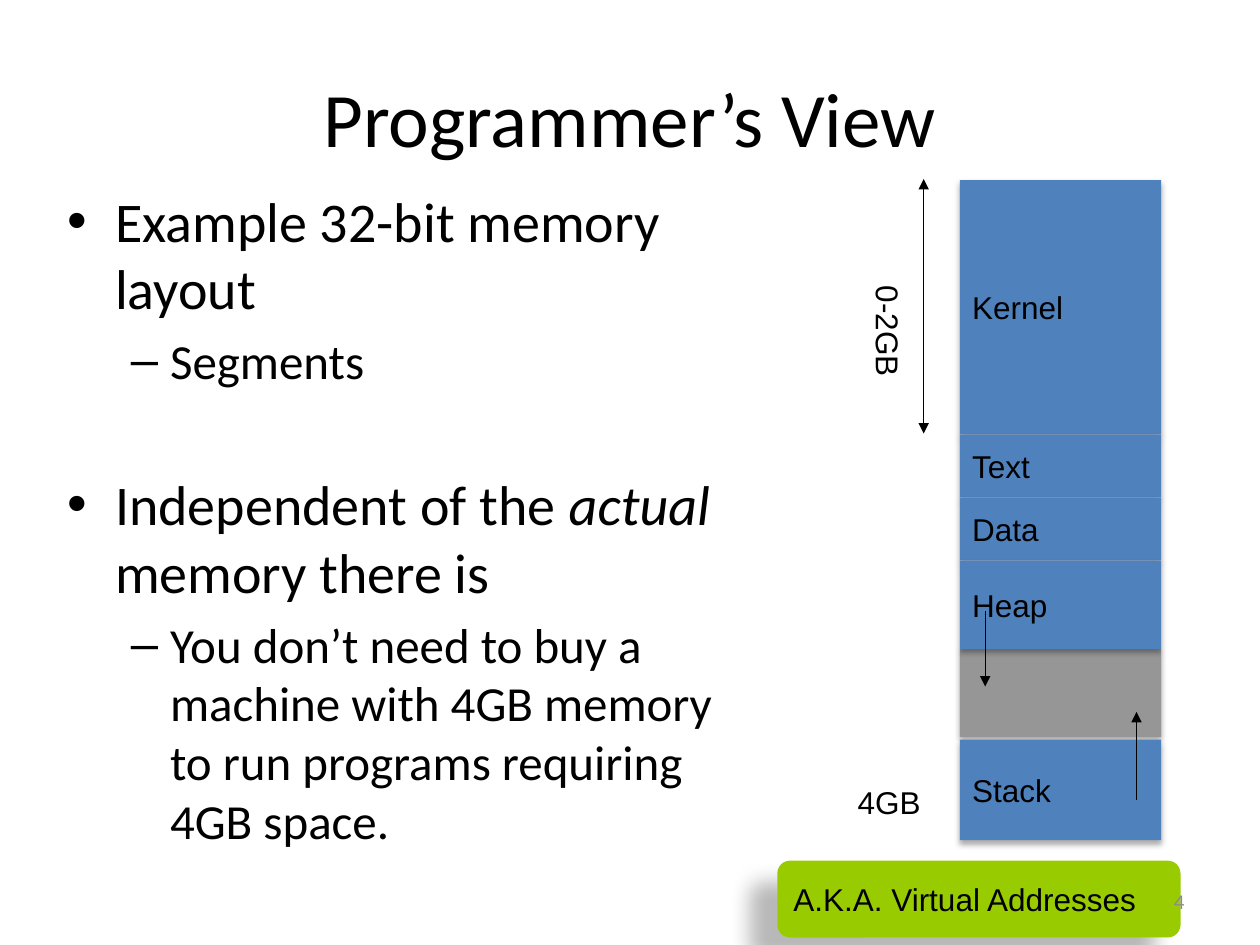
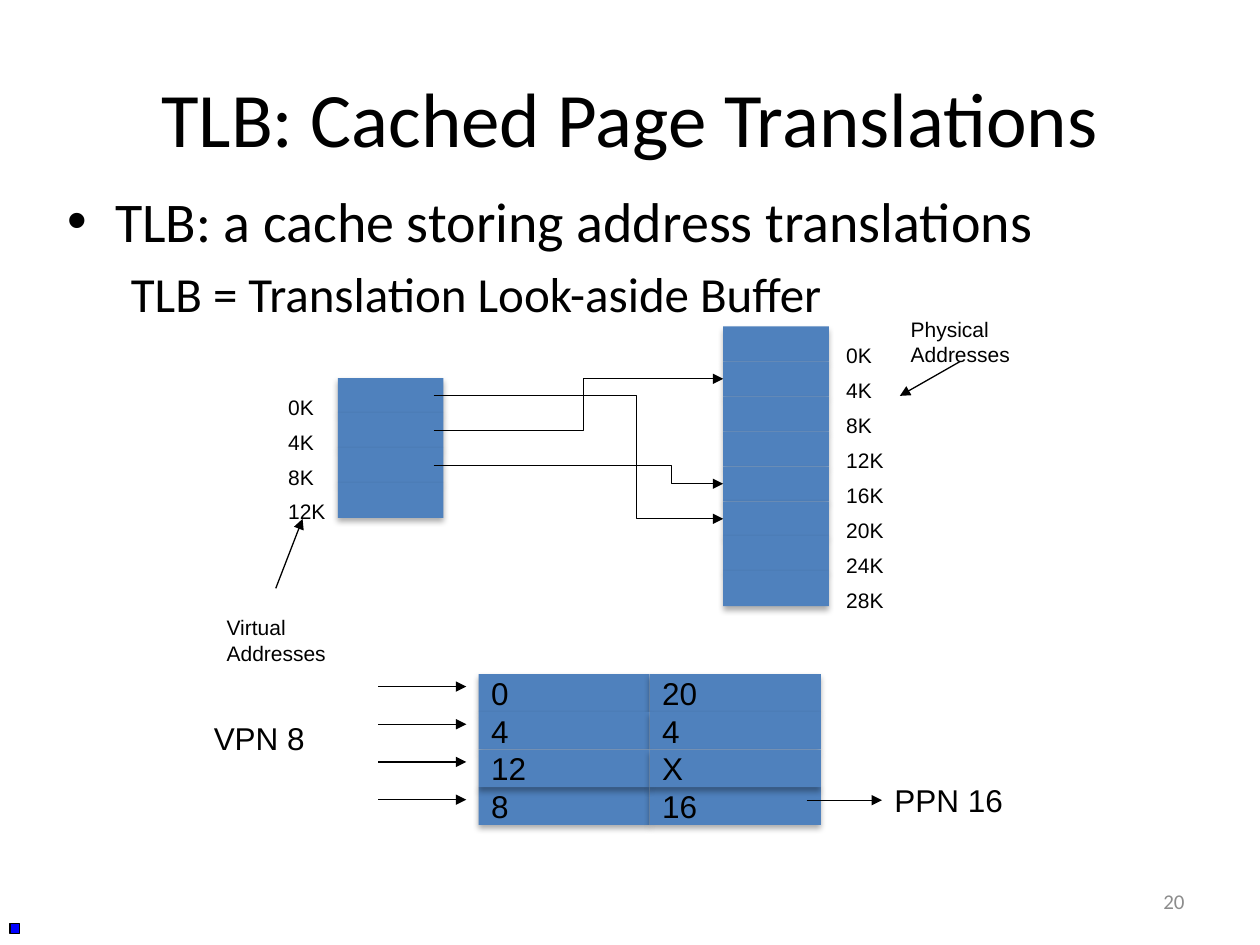
from lxml.etree import SubElement
from pptx import Presentation
from pptx.dml.color import RGBColor
from pptx.enum.shapes import MSO_CONNECTOR as Link, MSO_SHAPE as Geometry
from pptx.enum.text import MSO_ANCHOR as Anchor, MSO_AUTO_SIZE as AutoSize, PP_ALIGN as Align
from pptx.oxml.ns import qn
from pptx.util import Cm, Pt

COLORS = {
    "text": "000000",
    "block": "4F81BD",
    "free": "969696",
    "note": "99CC00",
    "marker": "0000FF",
    "number": "8C8C8C",
}
# blur and distance in points, direction in degrees, opacity in percent
SOFT_SHADOW = (3.5, 2.2, 90, 32)
DEEP_SHADOW = (11.8, 19.7, 141, 28)


def add_box(page, at, text="", size=18, font="Arial", color="text", align=Align.LEFT,
            wrap=False, fill=None, geometry=Geometry.RECTANGLE, shadow=SOFT_SHADOW):
    """Add a filled shape, or a text box when no fill is given; one paragraph per line."""
    place = [Cm(length) for length in at]
    if fill:
        box = page.shapes.add_shape(geometry, *place)
        box.fill.solid()
        box.fill.fore_color.rgb = RGBColor.from_string(COLORS[fill])
        box.line.fill.background()
        box.shadow.inherit = False
        if shadow:
            blur, distance, direction, opacity = shadow
            effects = box.element.spPr.find(qn("a:effectLst"))
            outer = SubElement(effects, qn("a:outerShdw"), blurRad=str(Pt(blur)),
                               dist=str(Pt(distance)), dir=str(direction * 60000),
                               rotWithShape="0")
            tint = SubElement(outer, qn("a:srgbClr"), val=COLORS["text"])
            SubElement(tint, qn("a:alpha"), val=str(opacity * 1000))
    else:
        box = page.shapes.add_textbox(*place)
    frame = box.text_frame
    frame.word_wrap = wrap
    frame.vertical_anchor = Anchor.MIDDLE if fill or wrap else Anchor.TOP
    if not fill and not wrap:
        frame.auto_size = AutoSize.SHAPE_TO_FIT_TEXT
    for index, line in enumerate(text.split("\n") if text else []):
        para = frame.add_paragraph() if index else frame.paragraphs[0]
        para.alignment = align
        span = para.add_run()
        span.text = line
        span.font.size = Pt(size)
        span.font.name = font
        span.font.color.rgb = RGBColor.from_string(COLORS[color])
    return box


def add_arrow(page, *points, ends=("tailEnd",)):
    """Draw a straight connector through two points, or a bent outline through more."""
    points = [(Cm(x), Cm(y)) for x, y in points]
    if len(points) == 2:
        arrow = page.shapes.add_connector(Link.STRAIGHT, *points[0], *points[1])
    else:
        builder = page.shapes.build_freeform(*points[0])
        builder.add_line_segments(points[1:], close=False)
        arrow = builder.convert_to_shape()
        arrow.fill.background()
    arrow.line.color.rgb = RGBColor.from_string(COLORS["text"])
    arrow.line.width = Pt(0.75)
    properties = arrow.element.spPr
    for end in ends:
        SubElement(properties.find(qn("a:ln")), qn(f"a:{end}"), type="triangle")
    SubElement(properties, qn("a:effectLst"))
    return arrow


deck = Presentation()
deck.slide_width, deck.slide_height = Cm(25.4), Cm(19.05)

# Titles and bullet text. Paragraph: level, bullet, space before, runs (text, italic)
LEVELS = [(32, 0.95, -0.95), (28, 2.06, -0.79)]  # size, left margin, first line indent
OUTLINES = [
    ("Programmer’s View", (13.72, 13.92), [
        (0, "•", 6.4, [("Example 32-bit memory layout", False)]),
        (1, "–", 5.6, [("Segments", False)]),
        (0, "•", 46, [("Independent of the ", False), ("actual ", True),
                      ("memory there is", False)]),
        (1, "–", 5.6, [("You don’t need to buy a machine with 4GB memory "
                        "to run programs requiring 4GB space.", False)]),
    ]),
    ("TLB: Cached Page Translations", (23.19, 3.4), [
        (0, "•", 6.4, [("TLB: a cache storing address translations", False)]),
        (1, None, 5.6, [("TLB = Translation Look-aside Buffer", False)]),
    ]),
]
pages = []
for title, (width, height), paragraphs in OUTLINES:
    page = deck.slides.add_slide(deck.slide_layouts[6])
    pages.append(page)
    add_box(page, (1.27, 0.76, 22.86, 3.18), title, 44, "Calibri",
            align=Align.CENTER, wrap=True)
    body = page.shapes.add_textbox(Cm(1.12), Cm(3.63), Cm(width), Cm(height)).text_frame
    body.word_wrap = True
    for index, (level, bullet, before, runs) in enumerate(paragraphs):
        size, margin, indent = LEVELS[level]
        para = body.add_paragraph() if index else body.paragraphs[0]
        para.level = level
        para.space_before = Pt(before)
        layout = para._p.get_or_add_pPr()
        layout.set("marL", str(Cm(margin)))
        layout.set("indent", str(Cm(indent)))
        if bullet:
            SubElement(layout, qn("a:buFont"), typeface="Arial")
            SubElement(layout, qn("a:buChar"), char=bullet)
        else:
            SubElement(layout, qn("a:buNone"))
        for text, italic in runs:
            span = para.add_run()
            span.text = text
            span.font.size = Pt(size)
            span.font.name = "Calibri"
            span.font.italic = italic
            span.font.color.rgb = RGBColor.from_string(COLORS["text"])
memory_page, tlb_page = pages

# Memory layout column
COLUMN_LEFT, COLUMN_WIDTH = 19.35, 4.06
add_box(memory_page, (COLUMN_LEFT, 13.08, COLUMN_WIDTH, 1.78), fill="free")
top = 3.63
for segment, gap_above, height in [("Kernel", 0, 5.13), ("Text", 0, 1.27), ("Data", 0, 1.27),
                                   ("Heap", 0, 1.78), ("Stack", 1.83, 2.03)]:
    top += gap_above
    add_box(memory_page, (COLUMN_LEFT, top, COLUMN_WIDTH, height), segment, fill="block")
    top += height
add_arrow(memory_page, (18.62, 3.61), (18.62, 8.74), ends=("headEnd", "tailEnd"))
kernel_range = add_box(memory_page, (17.15, 5.51, 1.27, 2.11), "0-2GB")
kernel_range.text_frame._txBody.bodyPr.set("vert", "eaVert")
add_arrow(memory_page, (22.91, 16.13), (22.91, 14.35))
add_arrow(memory_page, (19.86, 12.32), (19.86, 13.84))
add_box(memory_page, (17.04, 15.67, 1.8, 1.02), "4GB")
add_box(memory_page, (15.67, 17.35, 8.13, 1.55), "A.K.A. Virtual Addresses",
        fill="note", geometry=Geometry.ROUNDED_RECTANGLE, shadow=DEEP_SHADOW)

# Virtual pages on the left, physical frames on the right
CELL_WIDTH, CELL_HEIGHT = 2.13, 5.64 / 8
VIRTUAL_TOP, PHYSICAL_LEFT, PHYSICAL_TOP = 7.62, 14.58, 6.58
for left, top, label_left, count in [(6.81, VIRTUAL_TOP, 5.56, 4),
                                     (PHYSICAL_LEFT, PHYSICAL_TOP, 16.81, 8)]:
    for index in range(count):
        cell_top = top + index * CELL_HEIGHT
        add_box(tlb_page, (left, cell_top, CELL_WIDTH, CELL_HEIGHT), fill="block")
        label_width = 1.04 if index < 3 else 1.27
        add_box(tlb_page, (label_left, cell_top + 0.2, label_width, 0.76), f"{4 * index}K", 12)
for virtual, physical, bend in [(0, 5, 12.83), (1, 1, 11.76), (2, 4, 13.54)]:
    start = VIRTUAL_TOP + (virtual + 0.5) * CELL_HEIGHT
    end = PHYSICAL_TOP + (physical + 0.5) * CELL_HEIGHT
    add_arrow(tlb_page, (8.74, start), (bend, start), (bend, end), (PHYSICAL_LEFT, end))
add_box(tlb_page, (4.32, 12.27, 2.51, 1.27), "Virtual\nAddresses", 12)
add_arrow(tlb_page, (5.56, 11.86), (6.1, 10.46))
add_box(tlb_page, (18.11, 6.25, 2.51, 1.27), "Physical\nAddresses", 12)
add_arrow(tlb_page, (19.35, 7.29), (18.14, 7.98))

# TLB entries; the matching last row lies behind the others
ENTRIES = [("0", "20"), ("4", "4"), ("12", "X"), ("8", "16")]
ENTRY_WIDTH, ENTRY_HEIGHT = 3.45, 0.76
for row in (3, 0, 1, 2):
    for column, number in enumerate(ENTRIES[row]):
        add_box(tlb_page, (9.65 + column * ENTRY_WIDTH, 13.59 + row * ENTRY_HEIGHT,
                           ENTRY_WIDTH, ENTRY_HEIGHT), number, fill="block")
for row in range(len(ENTRIES)):
    lookup_y = 13.84 + row * ENTRY_HEIGHT
    add_arrow(tlb_page, (7.62, lookup_y), (9.4, lookup_y))
add_box(tlb_page, (4.06, 14.38, 2.36, 1.02), "VPN 8")
result = add_box(tlb_page, (17.78, 15.62, 2.72, 1.02), "PPN 16")
add_arrow(tlb_page, (16.26, 16.13), (17.78, 16.13)).end_connect(result, 1)

marker = add_box(tlb_page, (0.2, 18.62, 0.2, 0.2), fill="marker", shadow=None)
marker.line.color.rgb = RGBColor.from_string(COLORS["text"])
marker.line.width = Pt(0.75)

for page, number in zip(pages, ("4", "20")):
    add_box(page, (18.21, 17.65, 5.92, 1.02), number, 12, "Calibri", "number",
            align=Align.RIGHT, wrap=True)

deck.save("out.pptx")
